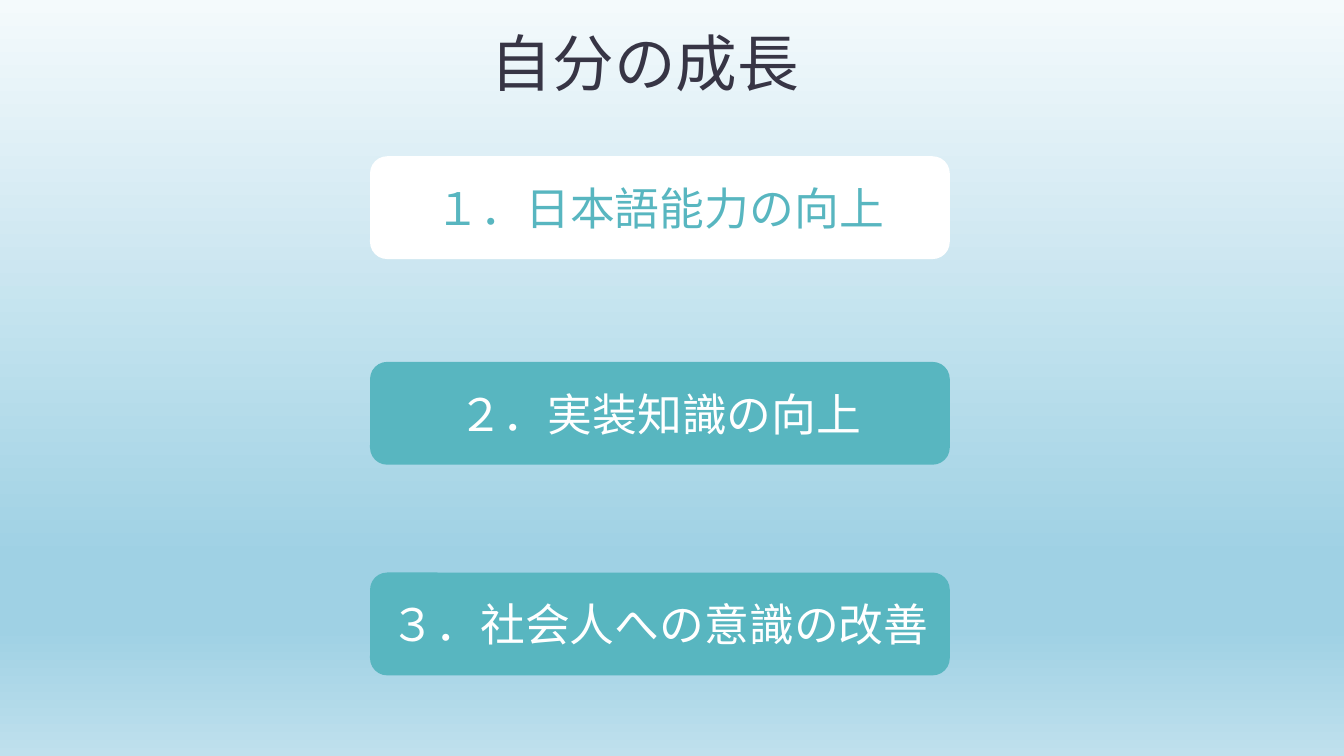
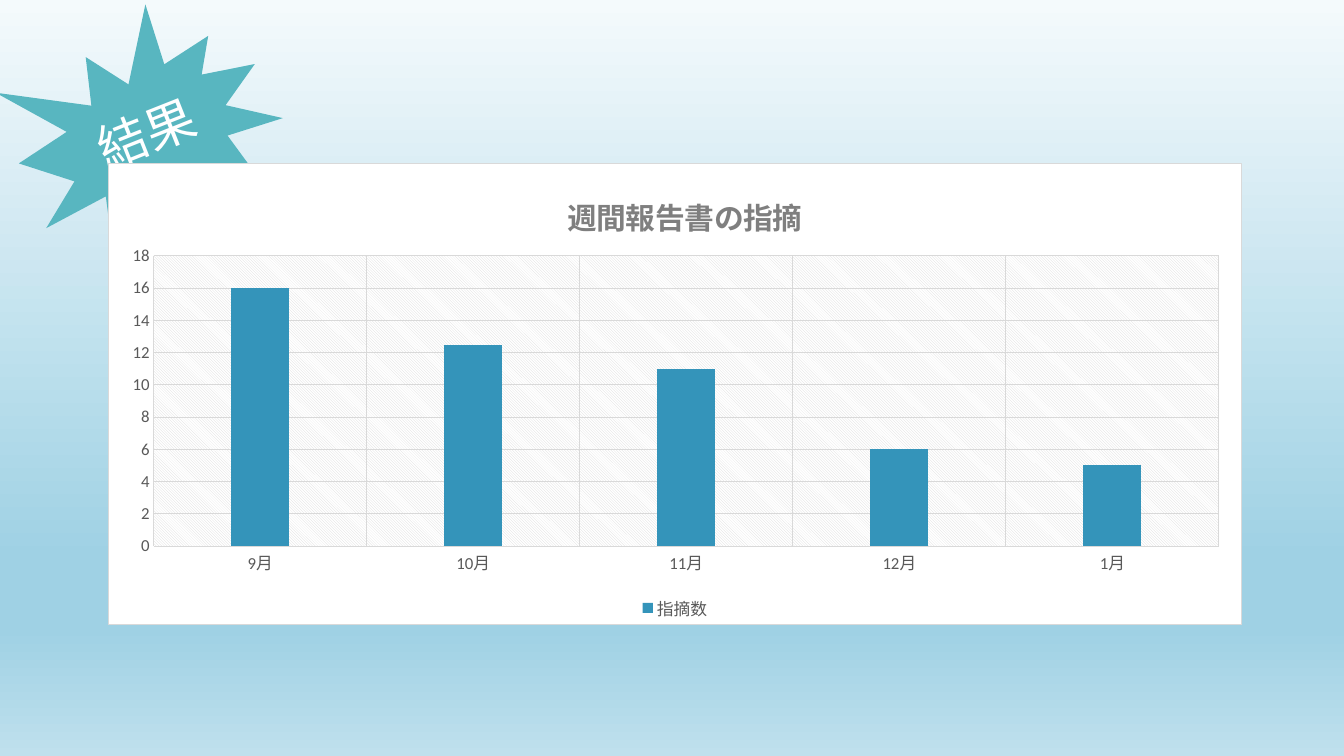
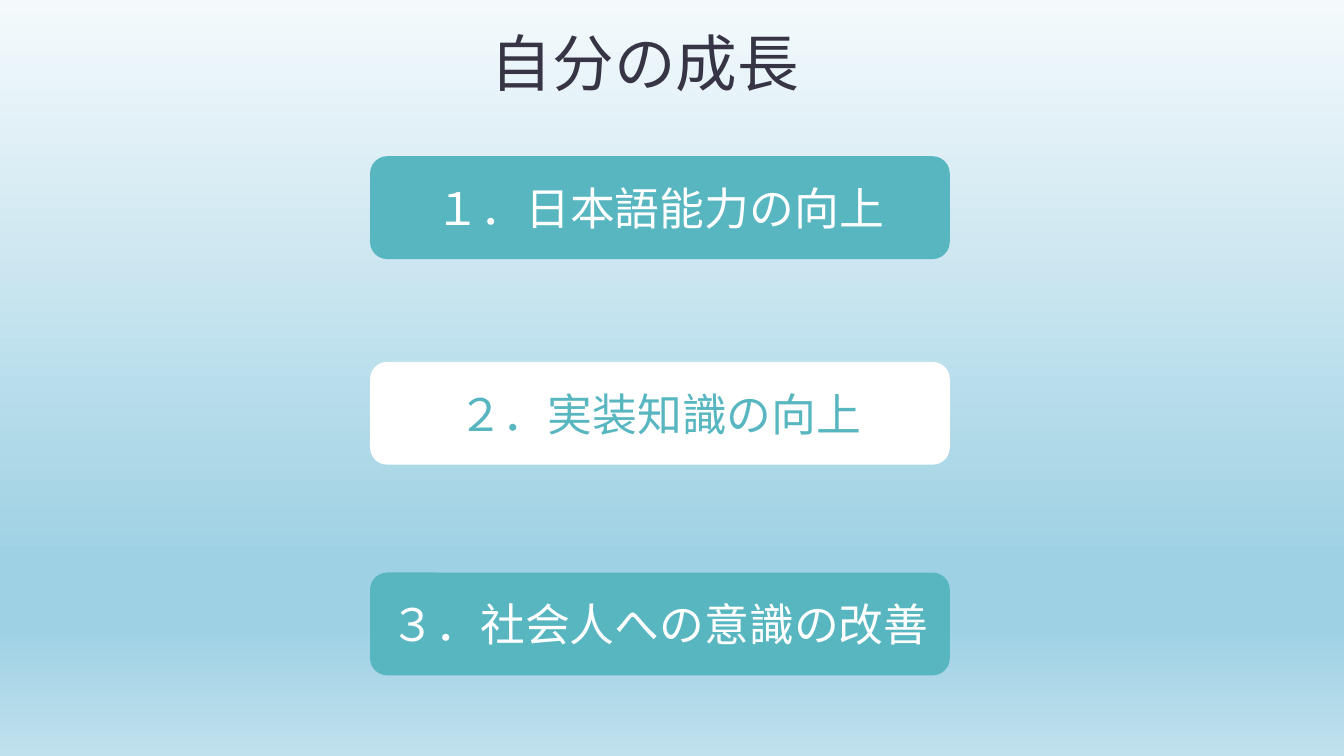
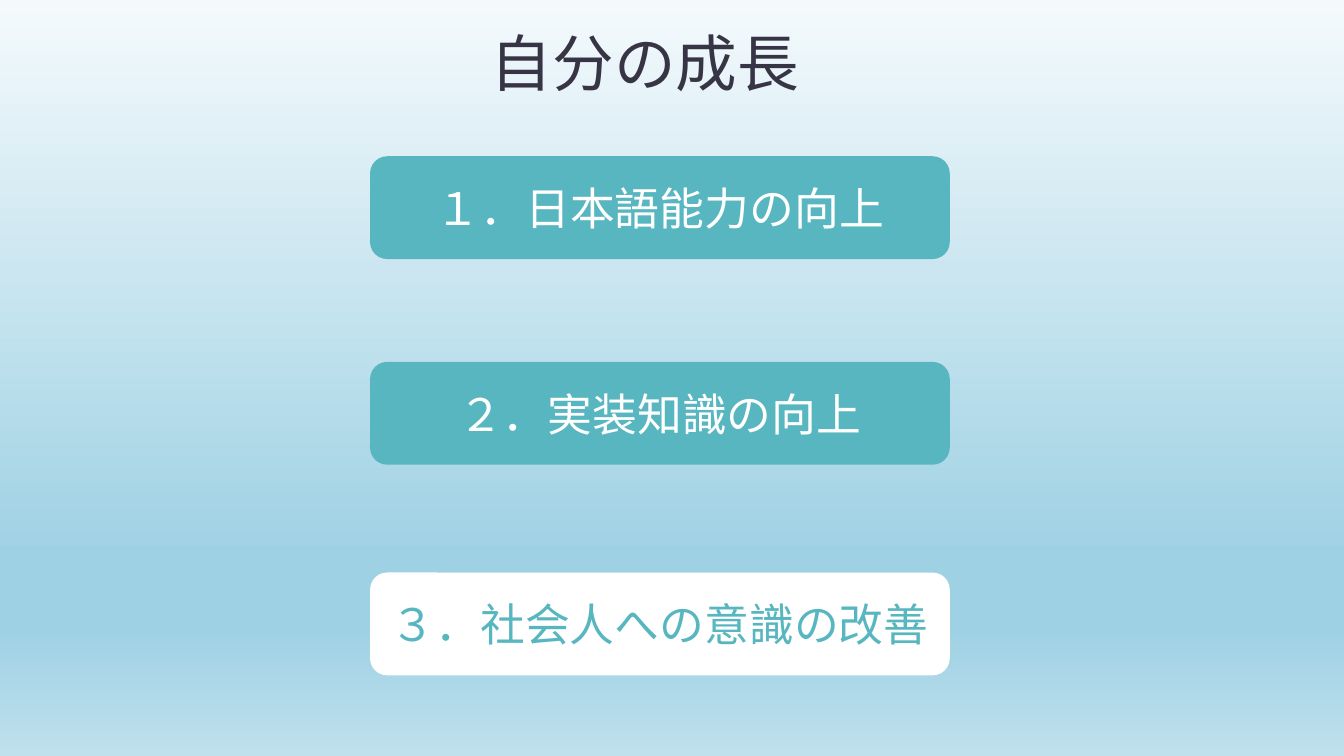
from pptx import Presentation
from pptx.chart.data import CategoryChartData
from pptx.dml.color import RGBColor
from pptx.enum.chart import XL_CHART_TYPE, XL_LEGEND_POSITION, XL_TICK_MARK
from pptx.enum.shapes import MSO_SHAPE
from pptx.enum.text import MSO_ANCHOR, PP_ALIGN
from pptx.oxml import parse_xml
from pptx.oxml.ns import nsdecls, qn
from pptx.util import Inches, Pt

ROUNDED = MSO_SHAPE.ROUNDED_RECTANGLE
BURST = MSO_SHAPE.EXPLOSION1
COLUMNS = XL_CHART_TYPE.COLUMN_CLUSTERED
LEGEND_BOTTOM = XL_LEGEND_POSITION.BOTTOM
NO_TICK = XL_TICK_MARK.NONE
CENTER = PP_ALIGN.CENTER
MIDDLE = MSO_ANCHOR.MIDDLE
BOTTOM = MSO_ANCHOR.BOTTOM

LATIN = "Calibri"
JAPANESE = "Noto Sans CJK JP"
TEAL, WHITE, INK = "58B6C0", "FFFFFF", "373545"
BLUE, GRID, LABEL, CHART_TITLE = "3494BA", "D9D9D9", "595959", "7F7F7F"
SKY = ((0, "F4FAFC"), (74, "9FD1E4"), (83, "9FD1E4"), (100, "BFE0ED"))

GOALS = ("１．日本語能力の向上", "２．実装知識の向上", "３．社会人への意識の改善")
GOAL_TOPS = (1.55, 3.59, 5.68)
MONTHS = ("9月", "10月", "11月", "12月", "1月")
REMARKS = (16, 12.5, 11, 6, 5)


def rgb(value):
    return RGBColor.from_string(value)


def style_font(font, size, color, name=LATIN, bold=False):
    font.size, font.name, font.bold = Pt(size), name, bold
    font.color.rgb = rgb(color)


def style_line(line, color):
    line.color.rgb = rgb(color)
    line.width = Pt(0.75)


def set_layout(parent, index, **fractions):
    for old in parent.findall(qn("c:layout")):
        parent.remove(old)
    target = '<c:layoutTarget val="inner"/>' if "w" in fractions else ""
    modes = "".join(f'<c:{key}Mode val="edge"/>' for key in "xy")
    sizes = "".join(f'<c:{key} val="{value}"/>' for key, value in fractions.items())
    parent.insert(index, parse_xml(
        f'<c:layout {nsdecls("c")}><c:manualLayout>{target}{modes}{sizes}'
        "</c:manualLayout></c:layout>"))


def chart_properties(content):
    return parse_xml(f'<c:spPr {nsdecls("c", "a")}>{content}</c:spPr>')


def solid(color):
    return f'<a:solidFill><a:srgbClr val="{color}"/></a:solidFill>'


class Deck:
    """Holds the shared style and the slide being built."""

    def __init__(self):
        self.prs = Presentation()
        self.prs.slide_width, self.prs.slide_height = Inches(13.33), Inches(7.5)
        self.slide = None
        self.paint_background()

    def paint_background(self):
        master = self.prs.slide_master
        master.background.fill.gradient()
        gradient = master.element.find(".//" + qn("a:gradFill"))
        stops = "".join(
            f'<a:gs pos="{position * 1000}"><a:srgbClr val="{color}"/></a:gs>'
            for position, color in SKY)
        gradient.getparent().replace(gradient, parse_xml(
            f'<a:gradFill {nsdecls("a")} rotWithShape="1"><a:gsLst>{stops}</a:gsLst>'
            '<a:lin ang="5400000" scaled="0"/></a:gradFill>'))

    def new_slide(self):
        self.slide = self.prs.slides.add_slide(self.prs.slide_layouts[6])

    def set_text(self, shape, text, size, color, anchor, name=LATIN):
        frame = shape.text_frame
        frame.word_wrap = True
        frame.vertical_anchor = anchor
        frame.text = text
        paragraph = frame.paragraphs[0]
        style_font(paragraph.runs[0].font, size, color, name)
        shape.element.find(".//" + qn("a:latin")).addnext(
            parse_xml(f'<a:ea {nsdecls("a")} typeface="{JAPANESE}"/>'))
        return paragraph

    def title(self, text):
        box = self.slide.shapes.add_textbox(
            Inches(4.77), Inches(0.26), Inches(3.31), Inches(0.77))
        self.set_text(box, text, 44, INK, BOTTOM, JAPANESE).line_spacing = 0.8

    def label(self, kind, place, text, size, fill=TEAL, color=WHITE, rotation=0):
        shape = self.slide.shapes.add_shape(kind, *map(Inches, place))
        shape.shadow.inherit = False
        shape.fill.solid()
        shape.fill.fore_color.rgb = rgb(fill)
        shape.line.fill.background()
        shape.rotation = rotation
        self.set_text(shape, text, size, color, MIDDLE).alignment = CENTER

    def goals(self, current):
        self.new_slide()
        self.title("自分の成長")
        for index, (goal, top) in enumerate(zip(GOALS, GOAL_TOPS)):
            fill, color = (WHITE, TEAL) if index == current else (TEAL, WHITE)
            self.label(ROUNDED, (3.67, top, 5.75, 1.02), goal, 32, fill, color)

    def column_chart(self, place, title, series_name, categories, values):
        data = CategoryChartData()
        data.categories = categories
        data.add_series(series_name, values)
        chart = self.slide.shapes.add_chart(COLUMNS, *map(Inches, place), data).chart
        style_font(chart.font, 12, LABEL)

        chart.has_title = True
        heading = chart.chart_title.text_frame
        heading.text = title
        style_font(heading.paragraphs[0].runs[0].font, 21.3, CHART_TITLE, bold=True)
        chart.has_legend = True
        chart.legend.position = LEGEND_BOTTOM
        chart.legend.include_in_layout = False
        style_font(chart.legend.font, 12, LABEL)

        plot = chart.plots[0]
        plot.gap_width, plot.overlap, plot.vary_by_categories = 267, -43, False
        columns = plot.series[0].format.fill
        columns.solid()
        columns.fore_color.rgb = rgb(BLUE)

        for axis in (chart.category_axis, chart.value_axis):
            axis.major_tick_mark = axis.minor_tick_mark = NO_TICK
            axis.has_major_gridlines = True
            style_line(axis.major_gridlines.format.line, GRID)
            style_font(axis.tick_labels.font, 12, LABEL)
        style_line(chart.category_axis.format.line, GRID)
        scale = chart.value_axis
        scale.format.line.fill.background()
        scale.minimum_scale, scale.maximum_scale, scale.major_unit = 0, 18, 2

        body = chart.element.find(qn("c:chart"))
        area = body.find(qn("c:plotArea"))
        set_layout(body.find(qn("c:title")), 1, x=0.4, y=0.05)
        set_layout(area, 0, x=0.04, y=0.2, w=0.94, h=0.63)
        area.append(chart_properties(
            f'<a:pattFill prst="ltDnDiag"><a:fgClr><a:srgbClr val="{GRID}"/></a:fgClr>'
            f'<a:bgClr><a:srgbClr val="{WHITE}"/></a:bgClr></a:pattFill>'))
        body.addnext(chart_properties(
            f'{solid(WHITE)}<a:ln w="{Pt(0.75)}">{solid(GRID)}</a:ln>'))

    def results(self):
        self.new_slide()
        self.label(BURST, (0.19, 0.12, 2.6, 2.52), "結果", 36, rotation=338.4)
        self.column_chart((1.07, 1.62, 11.25, 4.58), "週間報告書の指摘",
                          "指摘数", MONTHS, REMARKS)


def main():
    deck = Deck()
    deck.goals(0)
    deck.results()
    deck.goals(1)
    deck.goals(2)
    deck.prs.save("out.pptx")


if __name__ == "__main__":
    main()
